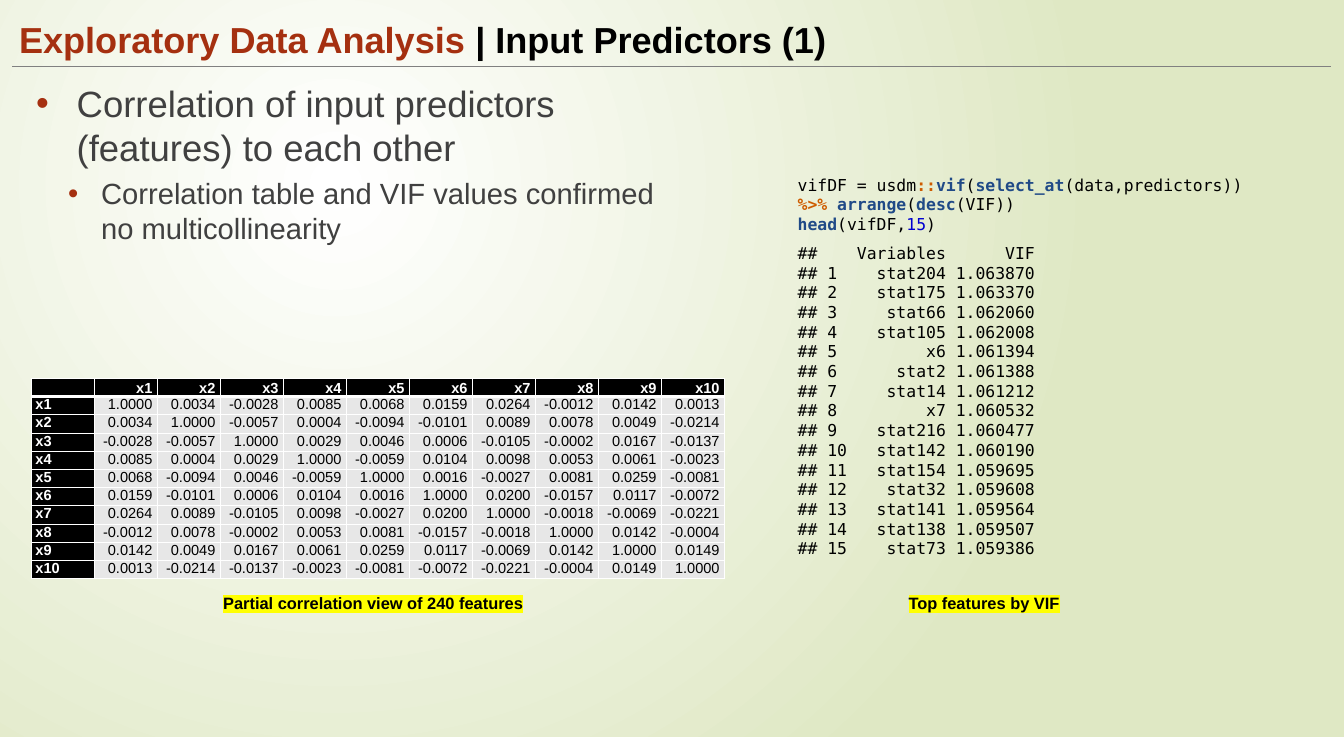
from lxml import etree
from pptx import Presentation
from pptx import util as u
from pptx.dml.color import RGBColor
from pptx.enum import shapes, text
from pptx.oxml import parse_xml
from pptx.oxml.ns import nsdecls, qn

COLORS = {
    "rust": "A53010", "black": "000000", "white": "FFFFFF", "body": "404040",
    "rule": "808080", "cell": "E7E7E7", "sage": "DFE8C4", "mark": "FFFF00",
    "operator": "CE5C00", "function": "204A87", "number": "0000CF",
}
SANS, MONO = "Arial", "DejaVu Sans Mono"

prs = Presentation()
prs.slide_width, prs.slide_height = u.Inches(20.47), u.Inches(11.22)
s = prs.slides.add_slide(prs.slide_layouts[5])


def share(x, y, w, h):
    return [u.Emu(int(part * size / 100)) for part, size in
            zip((x, y, w, h), (prs.slide_width, prs.slide_height) * 2)]


def style(r, size, color, bold=False, name=SANS):
    r.font.size, r.font.bold, r.font.name = u.Pt(size), bold, name
    r.font.color.rgb = RGBColor.from_string(COLORS[color])


s.background.fill.gradient()
grad = s.background._cSld.bg.bgPr.find(qn("a:gradFill"))
grad.getparent().replace(grad, parse_xml(
    f'<a:gradFill {nsdecls("a")} rotWithShape="1"><a:gsLst>'
    f'<a:gs pos="0"><a:srgbClr val="{COLORS["white"]}"/></a:gs>'
    f'<a:gs pos="100000"><a:srgbClr val="{COLORS["sage"]}"/></a:gs></a:gsLst>'
    '<a:path path="circle"><a:fillToRect l="50000" t="50000" r="100000" b="100000"/>'
    '</a:path></a:gradFill>'))

x, y, w, h = share(0.93, 9, 98.14, 0)
rule = s.shapes.add_connector(shapes.MSO_CONNECTOR.STRAIGHT, x, y, x + w, y)
rule.line.color.rgb = RGBColor.from_string(COLORS["rule"])
rule.line.width = u.Pt(1)
etree.SubElement(rule._element.spPr, qn("a:effectLst"))

title = s.shapes.title
title.left, title.top, title.width, title.height = share(0.93, 1.6, 98.14, 7.4)
tf = title.text_frame
tf.vertical_anchor = text.MSO_ANCHOR.MIDDLE
tf.auto_size = text.MSO_AUTO_SIZE.NONE
p = tf.paragraphs[0]
p.alignment = text.PP_ALIGN.LEFT
for words, color in [("Exploratory Data Analysis ", "rust"),
                     ("| Input Predictors (1)", "black")]:
    r = p.add_run()
    r.text = words
    style(r, 39.6, color, True)

tf = s.shapes.add_textbox(*share(0.93, 10.52, 49.1, 79.59)).text_frame
tf.word_wrap = True
bullets = [
    ("Correlation of input predictors (features) to each other", 40, 0.88, -0.62),
    ("Correlation table and VIF values confirmed no multicollinearity", 32, 1.25, -0.5),
]
for level, (words, size, margin, indent) in enumerate(bullets):
    p = tf.add_paragraph() if level else tf.paragraphs[0]
    p.text, p.level, p.space_before = words, level, u.Pt(8)
    style(p.runs[0], size, "body")
    pPr = p._p.get_or_add_pPr()
    pPr.set("marL", str(u.Inches(margin)))
    pPr.set("indent", str(u.Inches(indent)))
    etree.SubElement(etree.SubElement(pPr, qn("a:buClr")),
                     qn("a:srgbClr"), val=COLORS["rust"])
    etree.SubElement(pPr, qn("a:buFont"), typeface=SANS)
    etree.SubElement(pPr, qn("a:buChar"), char="•")

lower = [
    [],
    [0.0034],
    [-0.0028, -0.0057],
    [0.0085, 0.0004, 0.0029],
    [0.0068, -0.0094, 0.0046, -0.0059],
    [0.0159, -0.0101, 0.0006, 0.0104, 0.0016],
    [0.0264, 0.0089, -0.0105, 0.0098, -0.0027, 0.0200],
    [-0.0012, 0.0078, -0.0002, 0.0053, 0.0081, -0.0157, -0.0018],
    [0.0142, 0.0049, 0.0167, 0.0061, 0.0259, 0.0117, -0.0069, 0.0142],
    [0.0013, -0.0214, -0.0137, -0.0023, -0.0081, -0.0072, -0.0221, -0.0004, 0.0149],
]
n = len(lower)
names = [f"x{i + 1}" for i in range(n)]
rows = [[""] + names]
for i, name in enumerate(names):
    values = [1 if i == j else lower[max(i, j)][min(i, j)] for j in range(n)]
    rows.append([name] + [f"{value:.4f}" for value in values])

x, y, w, h = share(2.3, 51.34, 51.59, 27.18)
table = s.shapes.add_table(n + 1, n + 1, x, y, w, h).table
for i, row in enumerate(rows):
    table.rows[i].height = h // (n + 1)
    table.columns[i].width = w // (n + 1)
    for j, value in enumerate(row):
        head = i == 0 or j == 0
        cell = table.cell(i, j)
        cell.margin_left = cell.margin_right = u.Inches(0.07)
        cell.margin_top = cell.margin_bottom = 0
        cell.vertical_anchor = text.MSO_ANCHOR.TOP if i else text.MSO_ANCHOR.BOTTOM
        p = cell.text_frame.paragraphs[0]
        p.text = value
        p.alignment = text.PP_ALIGN.RIGHT if j else text.PP_ALIGN.LEFT
        if value:
            style(p.runs[0], 16, "white" if head else "black", head)
        else:
            etree.SubElement(p._p, qn("a:endParaRPr"), sz="1600")
        tcPr = cell._tc.get_or_add_tcPr()
        for side in "LRTB":
            thick = (i, side) in [(0, "B"), (1, "T")]
            ln = etree.SubElement(tcPr, qn(f"a:ln{side}"), w=str(u.Pt(3 if thick else 1)))
            etree.SubElement(etree.SubElement(ln, qn("a:solidFill")),
                             qn("a:srgbClr"), val=COLORS["white"])
        cell.fill.solid()
        cell.fill.fore_color.rgb = RGBColor.from_string(COLORS["black" if head else "cell"])

tf = s.shapes.add_textbox(*share(58.87, 23.26, 34.68, 53.48)).text_frame
tf.word_wrap = True
p = tf.paragraphs[0]
p.space_after = u.Pt(10)
code = [
    [("vifDF = usdm", "black"), ("::", "operator"), ("vif", "function"), ("(", "black"),
     ("select_at", "function"), ("(data,predictors)) ", "black"), ("%>% ", "operator"),
     ("arrange", "function"), ("(", "black"), ("desc", "function"), ("(VIF))", "black")],
    [("head", "function"), ("(vifDF,", "black"), ("15", "number"), (")", "black")],
]
for i, line in enumerate(code):
    if i:
        p.add_line_break()
    for words, color in line:
        r = p.add_run()
        r.text = words
        style(r, 18, color, color in ("operator", "function"), MONO)

vif = [
    ("stat204", 1.063870), ("stat175", 1.063370), ("stat66", 1.062060),
    ("stat105", 1.062008), ("x6", 1.061394), ("stat2", 1.061388),
    ("stat14", 1.061212), ("x7", 1.060532), ("stat216", 1.060477),
    ("stat142", 1.060190), ("stat154", 1.059695), ("stat32", 1.059608),
    ("stat141", 1.059564), ("stat138", 1.059507), ("stat73", 1.059386),
]
lines = [f"## {'':<2} {'Variables':>9} {'VIF':>8}"]
lines += [f"## {i:<2} {name:>9} {value:.6f}" for i, (name, value) in enumerate(vif, 1)]
p = tf.add_paragraph()
p.text = "\v".join(lines)
p.space_after = u.Pt(10)
for r in p.runs:
    style(r, 18, "black", name=MONO)

for words, left, width in [("Partial correlation view of 240 features", 16.12, 23.99),
                           ("Top features by VIF", 67.12, 12.7)]:
    tf = s.shapes.add_textbox(*share(left, 80.04, width, 3.57)).text_frame
    tf.word_wrap = True
    tf.text = words
    r = tf.paragraphs[0].runs[0]
    style(r, 18, "black", True)
    mark = etree.Element(qn("a:highlight"))
    etree.SubElement(mark, qn("a:srgbClr"), val=COLORS["mark"])
    r._r.get_or_add_rPr().find(qn("a:solidFill")).addnext(mark)

prs.save("out.pptx")
